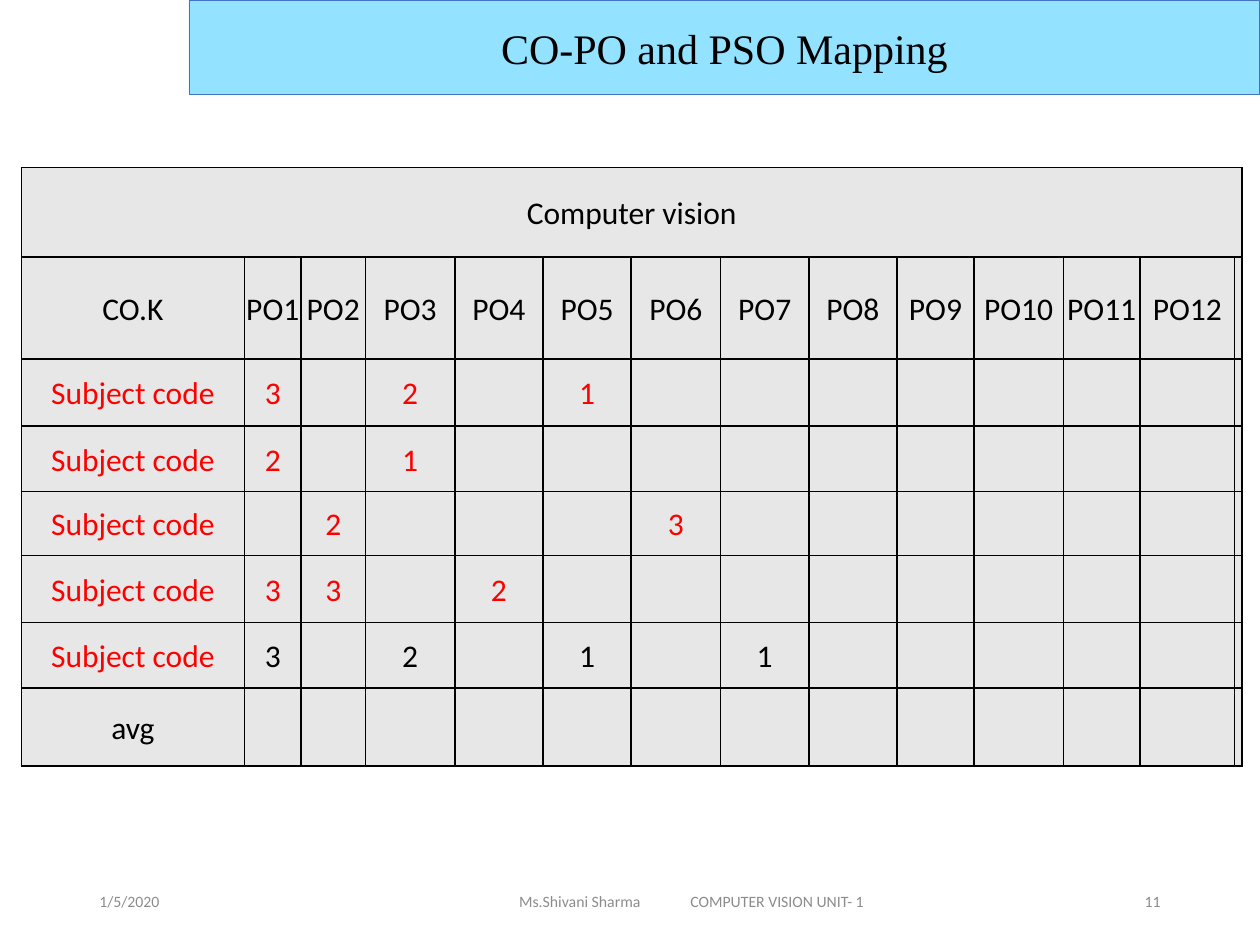
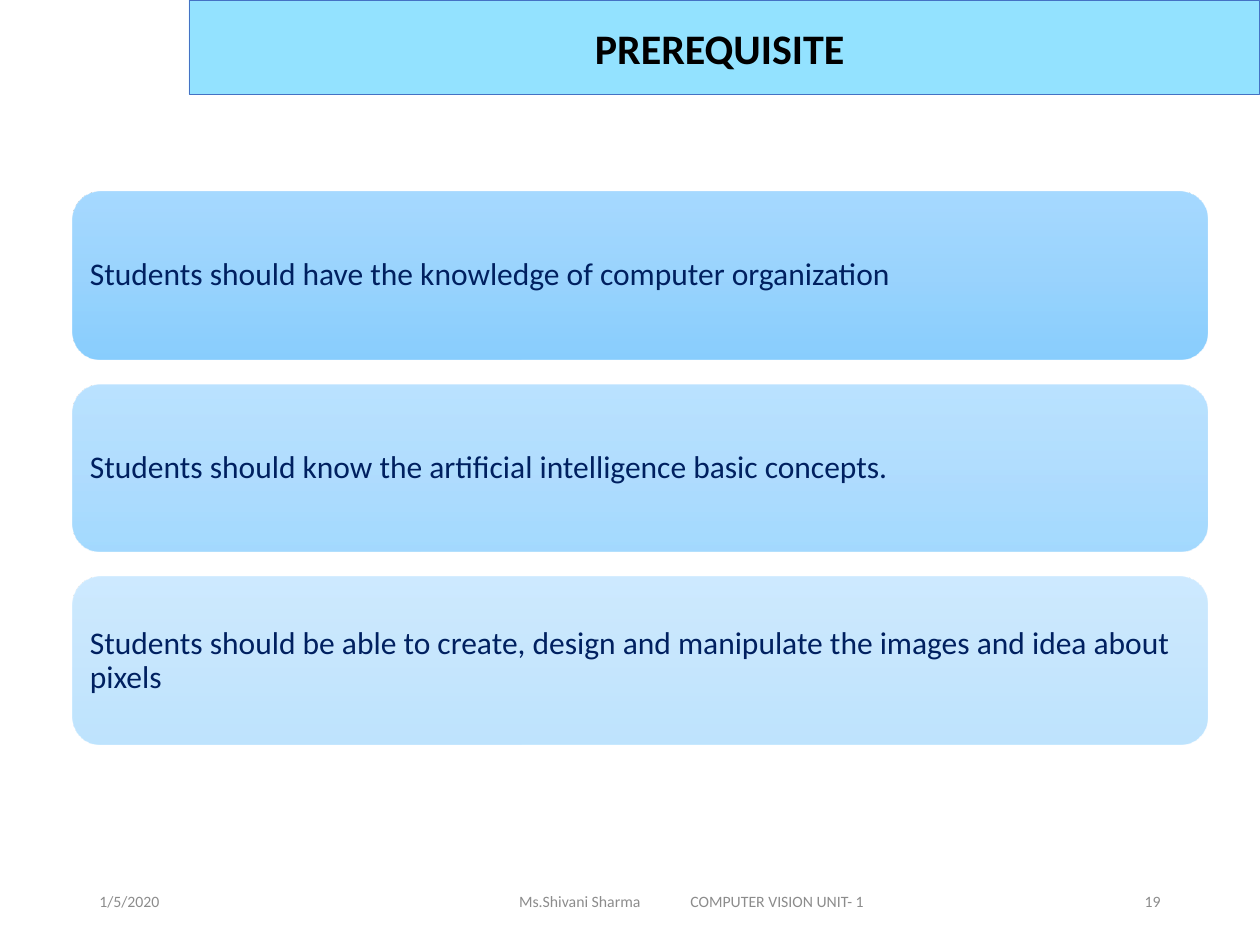
import pptx
import pptx.dml.color
import pptx.enum.shapes
import pptx.enum.text
import pptx.util
from lxml import etree
from pptx.oxml.ns import qn

ALIGN = pptx.enum.text.PP_ALIGN
SHAPES = pptx.enum.shapes.MSO_SHAPE
WIDTH, HEIGHT = 10, 7.5
BLACK, RED, NAVY, GREY = "000000", "FF0000", "002060", "8C8C8C"
BAND, BAND_EDGE, CELL = "93E2FF", "4472C4", "E7E7E7"

DATE = "1/5/2020"
LECTURER, COURSE = "Ms.Shivani Sharma", "COMPUTER VISION UNIT- 1"

MAPPING_TITLE = "CO-PO and PSO Mapping"
SUBJECT = "Computer vision"
OUTCOMES = ["CO.K"] + [f"PO{n}" for n in range(1, 13)]
# Row label, its colour, {PO number: level}, colour of the levels
LEVELS = [
    ("Subject code", RED, {1: 3, 3: 2, 5: 1}, RED),
    ("Subject code", RED, {1: 2, 3: 1}, RED),
    ("Subject code", RED, {2: 2, 6: 3}, RED),
    ("Subject code", RED, {1: 3, 2: 3, 4: 2}, RED),
    ("Subject code", RED, {1: 3, 3: 2, 5: 1, 7: 1}, BLACK),
    ("avg", BLACK, {}, BLACK),
]
COLUMN_WIDTHS = [1.77, 0.45, 0.51, 0.71, 0.7, 0.7, 0.71, 0.7, 0.7,
                 0.61, 0.71, 0.61, 0.75, 0.04]
ROW_HEIGHTS = [0.71, 0.81, 0.53, 0.52, 0.51, 0.53, 0.52, 0.62]

PREREQUISITE_TITLE = "PREREQUISITE "
PREREQUISITES = [
    "Students should have the knowledge of computer organization",
    "Students should know the artificial intelligence basic concepts.",
    "Students should be able to create, design and manipulate the images "
    "and idea about pixels",
]
CARD_GRADIENT = [(0, "9ED6FF"), (50, "90CFFD"), (100, "7CC9FD")]


def inches(*lengths):
    return [pptx.util.Inches(length) for length in lengths]


def rgb(value):
    return pptx.dml.color.RGBColor.from_string(value)


def write(frame, text, size, color, align=ALIGN.LEFT, font="Calibri", bold=False):
    """Fill a frame with one vertically centred paragraph and return it."""
    frame.word_wrap = True
    frame.vertical_anchor = pptx.enum.text.MSO_ANCHOR.MIDDLE
    paragraph = frame.paragraphs[0]
    paragraph.text = text
    paragraph.alignment = align
    paragraph.font.name = font
    paragraph.font.size = pptx.util.Pt(size)
    paragraph.font.bold = bold
    paragraph.font.color.rgb = rgb(color)
    return paragraph


def add_panel(slide, kind, left, top, width, height):
    panel = slide.shapes.add_shape(kind, *inches(left, top, width, height))
    panel.shadow.inherit = False
    return panel


def add_title(slide, text, **style):
    left = 0.15 * WIDTH
    band = add_panel(slide, SHAPES.RECTANGLE, left, 0, WIDTH - left, 0.1 * HEIGHT)
    band.fill.solid()
    band.fill.fore_color.rgb = rgb(BAND)
    band.line.color.rgb = rgb(BAND_EDGE)
    band.line.width = pptx.util.Pt(0.5)
    write(band.text_frame, text, 24, BLACK, ALIGN.CENTER, **style)


def add_footer(slide, number):
    def add_part(left, width, text, align=ALIGN.LEFT):
        box = slide.shapes.add_textbox(*inches(left, 6.95, width, 0.4))
        return box.text_frame, write(box.text_frame, text, 9, GREY, align)

    add_part(0.69, 2.25, DATE)
    credit, line = add_part(2.75, 5.5, f"{LECTURER}\t{COURSE}")
    credit.margin_left = pptx.util.Inches(1.37)
    stops = etree.Element(qn("a:tabLst"))
    etree.SubElement(stops, qn("a:tab"), pos=str(pptx.util.Inches(1.36)), algn="l")
    line._p.get_or_add_pPr().insert(0, stops)
    add_part(7.06, 2.25, str(number), ALIGN.RIGHT)


def border(cell):
    properties = cell._tc.get_or_add_tcPr()
    for position, side in enumerate(("lnL", "lnR", "lnT", "lnB")):
        edge = etree.Element(qn(f"a:{side}"), w=str(pptx.util.Pt(1)))
        fill = etree.SubElement(edge, qn("a:solidFill"))
        etree.SubElement(fill, qn("a:srgbClr"), val=BLACK)
        properties.insert(position, edge)


def add_mapping(slide):
    rows = [[(SUBJECT, BLACK)], [(name, BLACK) for name in OUTCOMES]]
    for label, label_color, levels, level_color in LEVELS:
        rows.append([(label, label_color)] + [
            (str(levels.get(po, "")), level_color) for po in range(1, 13)])
    table = slide.shapes.add_table(
        len(rows), len(COLUMN_WIDTHS),
        *inches(0.17, 1.33, sum(COLUMN_WIDTHS), sum(ROW_HEIGHTS))).table
    table.first_row = table.horz_banding = False
    for column, width in zip(table.columns, COLUMN_WIDTHS):
        column.width = pptx.util.Inches(width)
    for r, (entries, height) in enumerate(zip(rows, ROW_HEIGHTS)):
        table.rows[r].height = pptx.util.Inches(height)
        for c in range(len(COLUMN_WIDTHS)):
            cell = table.cell(r, c)
            cell.fill.solid()
            cell.fill.fore_color.rgb = rgb(CELL)
            border(cell)
            cell.margin_left = cell.margin_right = cell.margin_top = pptx.util.Inches(0.01)
            cell.margin_bottom = 0
            cell.vertical_anchor = pptx.enum.text.MSO_ANCHOR.MIDDLE
            if c < len(entries) and entries[c][0]:
                text, color = entries[c]
                line = write(cell.text_frame, text, 18, color, ALIGN.CENTER)
                line.line_spacing = 1.06
    table.cell(0, 0).merge(table.cell(0, len(COLUMN_WIDTHS) - 1))


def fill_gradient(shape, opacity):
    """Give a shape the downward card gradient at an opacity in percent."""
    shape.fill.gradient()
    gradient = shape._element.spPr.find(qn("a:gradFill"))
    for child in list(gradient):
        gradient.remove(child)
    stops = etree.SubElement(gradient, qn("a:gsLst"))
    for position, color in CARD_GRADIENT:
        stop = etree.SubElement(stops, qn("a:gs"), pos=str(position * 1000))
        tint = etree.SubElement(stop, qn("a:srgbClr"), val=color)
        etree.SubElement(tint, qn("a:alpha"), val=str(opacity * 1000))
    etree.SubElement(gradient, qn("a:lin"), ang="5400000", scaled="0")


def add_prerequisites(slide):
    top, height, gap = 1.52, 1.33, 0.2
    for i, requirement in enumerate(PREREQUISITES):
        card = add_panel(slide, SHAPES.ROUNDED_RECTANGLE,
                         0.58, top + i * (height + gap), 9, height)
        fill_gradient(card, 90 - 20 * i)
        card.line.fill.background()
        frame = card.text_frame
        # The rounded corners already inset the text by 0.07
        frame.margin_left = frame.margin_right = pptx.util.Inches(0.07)
        write(frame, requirement, 18, NAVY).line_spacing = 0.9


def main():
    deck = pptx.Presentation()
    deck.slide_width, deck.slide_height = inches(WIDTH, HEIGHT)
    pages = [
        (add_mapping, 11, MAPPING_TITLE, {"font": "Times New Roman"}),
        (add_prerequisites, 19, PREREQUISITE_TITLE, {"bold": True}),
    ]
    for add_body, number, title, style in pages:
        slide = deck.slides.add_slide(deck.slide_layouts[6])
        add_body(slide)
        add_footer(slide, number)
        add_title(slide, title, **style)
    deck.save("out.pptx")


if __name__ == "__main__":
    main()
